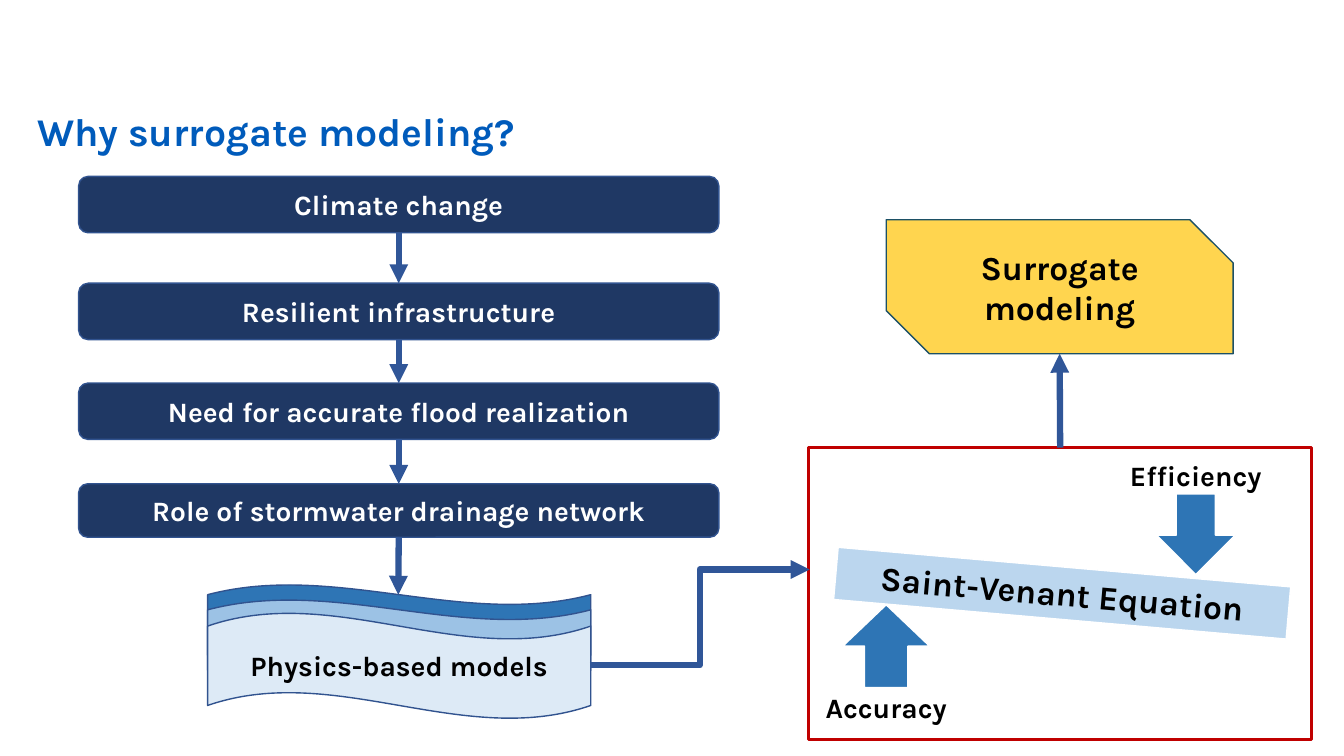
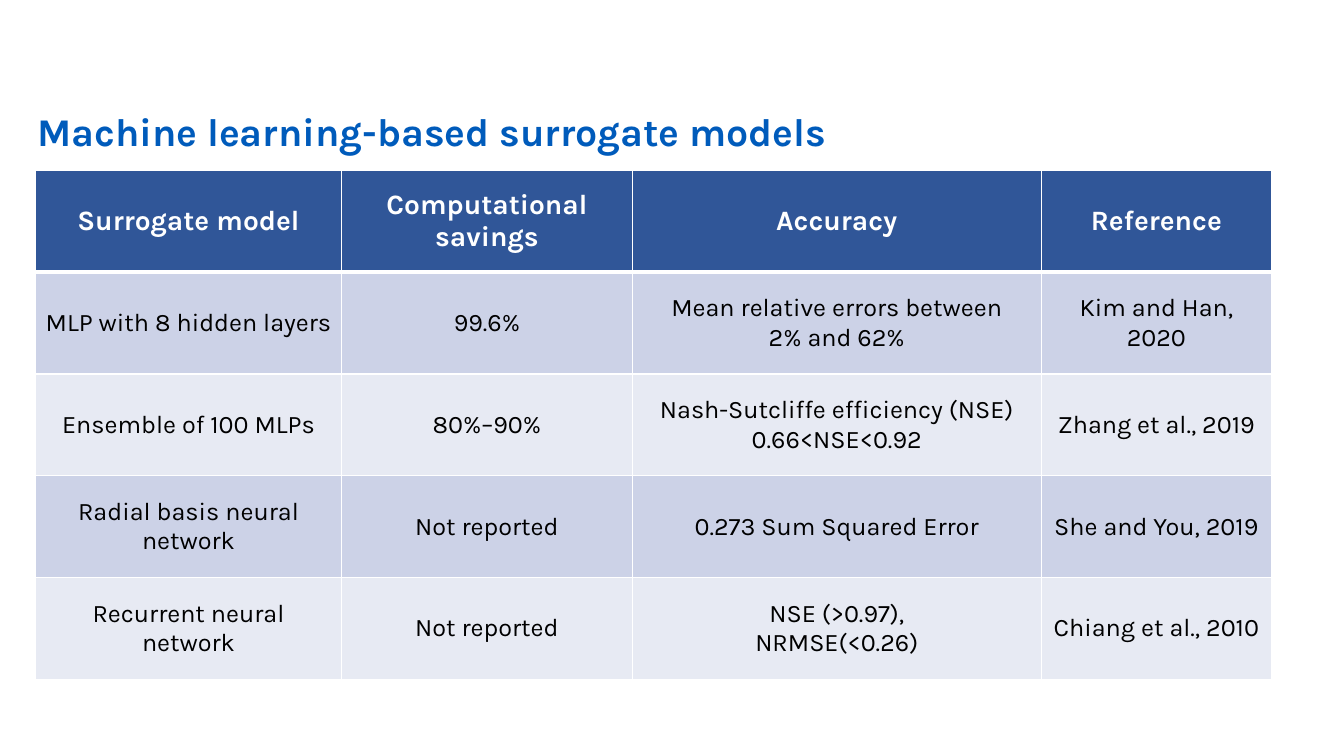
from itertools import pairwise

from lxml.etree import SubElement
from pptx import Presentation
from pptx.dml.color import RGBColor
from pptx.enum.shapes import MSO_CONNECTOR, MSO_SHAPE
from pptx.enum.text import MSO_ANCHOR, PP_ALIGN
from pptx.oxml.ns import qn
from pptx.util import Inches, Pt

FONT = "Karla"
COLORS = {
    "title": "005BBB", "navy": "1F3864", "edge": "31538F", "link": "305698",
    "blue": "2E75B5", "sky": "9CC2E5", "pale": "DDEAF6", "beam": "BBD6EE",
    "gold": "FFD54F", "teal": "1C5065", "red": "C00000",
    "odd": "CCD2E7", "even": "E7EAF3", "white": "FFFFFF", "black": "000000",
}
STEPS = [
    ("Climate change", 1.75, 0.56),
    ("Resilient infrastructure", 2.81, 0.56),
    ("Need for accurate flood realization", 3.8, 0.56),
    ("Role of stormwater drainage network", 4.8, 0.53),
]
WAVES = [
    ("", 5.8, 0.8, "blue"),
    ("", 5.95, 0.8, "sky"),
    ("Physics-based models", 6.08, 1.05, "pale"),
]
WIDTHS = [3.04, 2.88, 4.06, 2.28]
ROWS = [
    ["Surrogate model", "Computational savings", "Accuracy", "Reference"],
    ["MLP with 8 hidden layers", "99.6%",
     "Mean relative errors between\n2% and 62%", "Kim and Han, 2020"],
    ["Ensemble of 100 MLPs", "80%–90%",
     "Nash-Sutcliffe efficiency (NSE)\n0.66<NSE<0.92", "Zhang et al., 2019"],
    ["Radial basis neural network", "Not reported",
     "0.273 Sum Squared Error", "She and You, 2019"],
    ["Recurrent neural network", "Not reported",
     "NSE (>0.97),\nNRMSE(<0.26)", "Chiang et al., 2010"],
]


def rgb(name):
    return RGBColor.from_string(COLORS[name])


def write(frame, text, size, color, bold=True, align=PP_ALIGN.CENTER):
    frame.text = text
    for para in frame.paragraphs:
        para.alignment = align
        for run in para.runs:
            font = run.font
            font.name, font.size, font.bold = FONT, Pt(size), bold
            font.color.rgb = rgb(color)


def label(slide, text, box, size=20, color="black", align=PP_ALIGN.CENTER):
    frame = slide.shapes.add_textbox(*map(Inches, box)).text_frame
    frame.word_wrap = True
    write(frame, text, size, color, align=align)
    return frame


def title(slide, text):
    frame = label(slide, text, (0.27, 1.06, 12.12, 0.53), 28, "title", PP_ALIGN.LEFT)
    frame.vertical_anchor = MSO_ANCHOR.BOTTOM
    frame.paragraphs[0].line_spacing = 0.9


def block(slide, kind, box, fill, line, text="", size=20, color="black",
          weight=1, adjust=()):
    shape = slide.shapes.add_shape(kind, *map(Inches, box))
    shape.shadow.inherit = False
    for i, value in enumerate(adjust):
        shape.adjustments[i] = value
    if fill:
        shape.fill.solid()
        shape.fill.fore_color.rgb = rgb(fill)
    else:
        shape.fill.background()
    shape.line.color.rgb = rgb(line)
    shape.line.width = Pt(weight)
    if text:
        shape.text_frame.vertical_anchor = MSO_ANCHOR.MIDDLE
        write(shape.text_frame, text, size, color)
    return shape


def arrow(slide, start, end, kind=MSO_CONNECTOR.STRAIGHT):
    link = slide.shapes.add_connector(kind, *map(Inches, start + end))
    link.line.color.rgb = rgb("link")
    link.line.width = Pt(4.5)
    props = link._element.spPr
    SubElement(props.find(qn("a:ln")), qn("a:tailEnd"), type="triangle")
    SubElement(props, qn("a:effectLst"))
    return link


def flow(slide):
    mid = 3.95
    steps = [
        block(slide, MSO_SHAPE.ROUNDED_RECTANGLE, (0.78, top, 6.35, high),
              "navy", "edge", text, color="white")
        for text, top, high in STEPS
    ]
    for upper, lower in pairwise(steps):
        link = arrow(slide, (mid, 0), (mid, 1))
        link.begin_connect(upper, 2)
        link.end_connect(lower, 0)
    for text, top, high, fill in WAVES:
        block(slide, MSO_SHAPE.WAVE, (2.06, top, 3.8, high), fill, "edge", text)
    arrow(slide, (mid, 5.33), (mid, 5.9)).begin_connect(steps[-1], 2)


def balance(slide):
    frame = block(slide, MSO_SHAPE.RECTANGLE, (8.02, 4.44, 4.99, 2.9),
                  None, "red", weight=2.25)
    block(slide, MSO_SHAPE.UP_ARROW, (8.36, 6, 0.86, 0.82), "blue", "white")
    beam = block(slide, MSO_SHAPE.MATH_MINUS, (7.47, 4.78, 6.13, 2.21),
                 "beam", "white", "Saint-Venant Equation", 24, adjust=(0.235,))
    beam.rotation = 5
    block(slide, MSO_SHAPE.DOWN_ARROW, (11.47, 4.9, 0.78, 0.8), "blue", "white")
    label(slide, "Efficiency", (10.85, 4.5, 2.02, 0.44))
    label(slide, "Accuracy", (7.99, 6.8, 1.6, 0.44))
    block(slide, MSO_SHAPE.SNIP_2_DIAG_RECTANGLE, (8.79, 2.18, 3.44, 1.33),
          "gold", "teal", "Surrogate modeling", 24, adjust=(0, 0.322))
    arrow(slide, (5.85, 6.6), (8.03, 5.65), MSO_CONNECTOR.ELBOW)
    arrow(slide, (10.51, 4.44), (10.51, 3.51)).begin_connect(frame, 0)


def border(cell, row):
    props = cell._tc.get_or_add_tcPr()
    thick = {"T": row == 1, "B": row == 0}
    for side in "LRTB":
        width = Pt(3 if thick.get(side) else 1)
        line = SubElement(props, qn("a:ln" + side), w=str(width))
        fill = SubElement(line, qn("a:solidFill"))
        SubElement(fill, qn("a:srgbClr"), val=COLORS["white"])


def grid(slide):
    high = 1.01
    box = (0.35, 1.69, sum(WIDTHS), high * len(ROWS))
    table = slide.shapes.add_table(len(ROWS), len(WIDTHS), *map(Inches, box)).table
    table.horz_banding = False
    for col, width in zip(table.columns, WIDTHS):
        col.width = Inches(width)
    for r, texts in enumerate(ROWS):
        head = r == 0
        fill = "link" if head else "odd" if r % 2 else "even"
        table.rows[r].height = Inches(high)
        for c, text in enumerate(texts):
            cell = table.cell(r, c)
            border(cell, r)
            cell.fill.solid()
            cell.fill.fore_color.rgb = rgb(fill)
            cell.vertical_anchor = MSO_ANCHOR.MIDDLE
            write(cell.text_frame, text, 20 if head else 18,
                  "white" if head else "black", head)


def main():
    deck = Presentation()
    deck.slide_width, deck.slide_height = Inches(13.33), Inches(7.5)
    blank = deck.slide_layouts[6]

    why = deck.slides.add_slide(blank)
    title(why, "Why surrogate modeling?")
    flow(why)
    balance(why)

    models = deck.slides.add_slide(blank)
    title(models, "Machine learning-based surrogate models")
    grid(models)

    deck.save("out.pptx")


if __name__ == "__main__":
    main()
